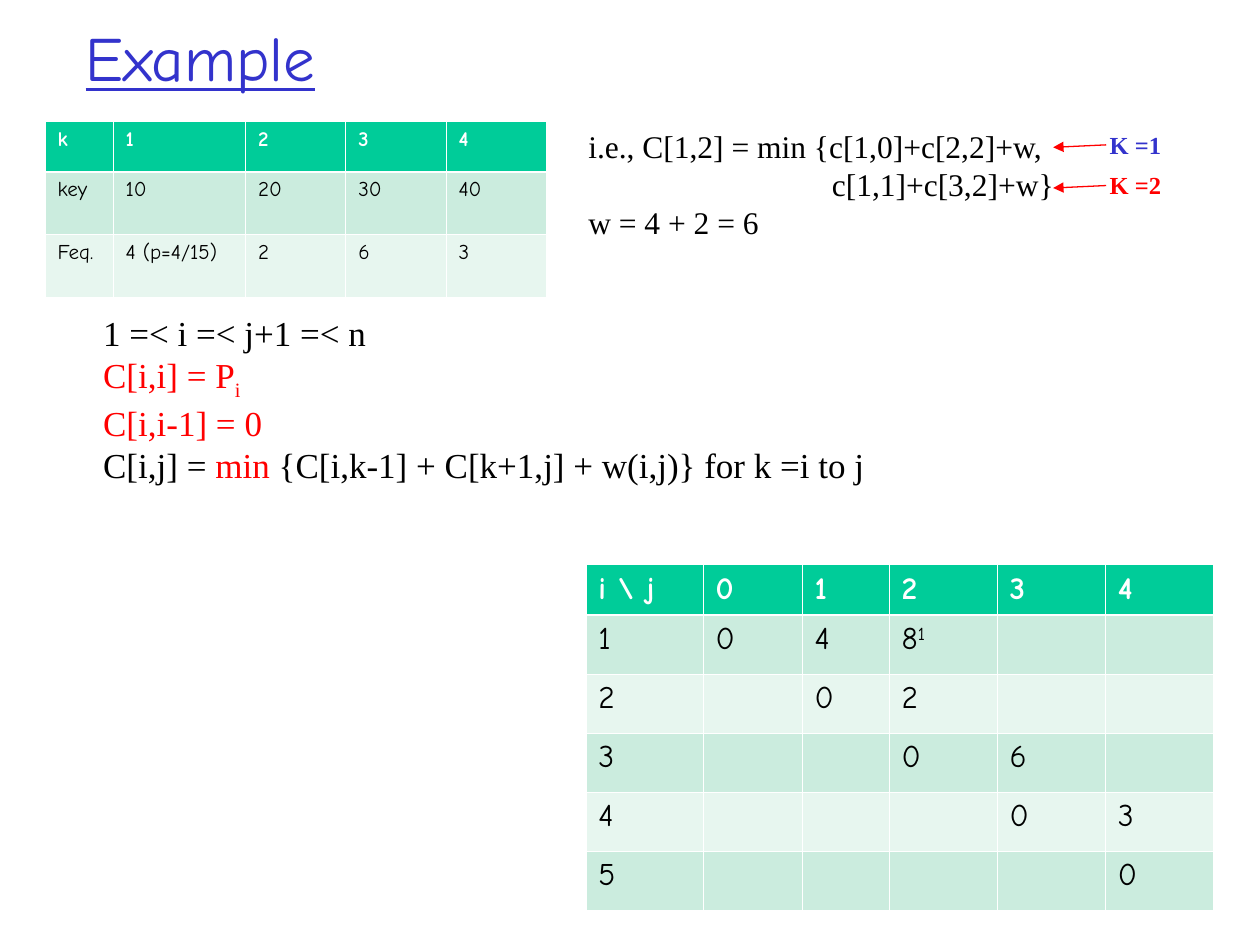
from lxml import etree
from pptx import Presentation
from pptx import util as u
from pptx.dml.color import RGBColor
from pptx.enum import shapes, text
from pptx.oxml.ns import qn

COLORS = {
    "blue": "3333CC", "red": "FF0000", "black": "000000", "white": "FFFFFF",
    "header": "00CC99", "band_dark": "CBECDE", "band_light": "E7F6EF",
}
SUPERSCRIPT, SUBSCRIPT = 30000, -25000


def rgb(name):
    return RGBColor.from_string(COLORS[name])


def add_border(cell, side, points):
    line = etree.SubElement(cell._tc.get_or_add_tcPr(), qn(f"a:ln{side}"),
                            w=str(u.Pt(points)))
    fill = etree.SubElement(line, qn("a:solidFill"))
    etree.SubElement(fill, qn("a:srgbClr"), val=COLORS["white"])


class SlideWriter:
    heading_font = "Comic Neue"
    body_font = "Times New Roman"
    thin, thick = 0.45, 1.47

    def __init__(self, slide):
        self.slide = slide

    def run(self, paragraph, content, font, size, color="black", bold=False, baseline=0):
        run = paragraph.add_run()
        run.text = content
        run.font.name, run.font.size, run.font.bold = font, u.Pt(size), bold
        run.font.color.rgb = rgb(color)
        if baseline:
            run._r.get_or_add_rPr().set("baseline", str(baseline))
        return run

    def title(self, content, left, top, width, height):
        heading = self.slide.shapes.title
        heading.left, heading.top = u.Cm(left), u.Cm(top)
        heading.width, heading.height = u.Cm(width), u.Cm(height)
        heading.text_frame.vertical_anchor = text.MSO_ANCHOR.MIDDLE
        paragraph = heading.text_frame.paragraphs[0]
        paragraph.alignment = text.PP_ALIGN.LEFT
        self.run(paragraph, content, self.heading_font, 36, "blue").font.underline = True

    def text(self, lines, left, top, width, height, size, bold=False, wrap=True, indents=()):
        """Each line is a list of (content, color[, baseline]); indents maps line to cm."""
        frame = self.slide.shapes.add_textbox(
            u.Cm(left), u.Cm(top), u.Cm(width), u.Cm(height)).text_frame
        frame.word_wrap = wrap
        for number, parts in enumerate(lines):
            paragraph = frame.add_paragraph() if number else frame.paragraphs[0]
            if number in indents:
                paragraph._p.get_or_add_pPr().set("marL", str(u.Cm(indents[number])))
            for content, color, *baseline in parts:
                self.run(paragraph, content, self.body_font, size, color, bold, *baseline)

    def table(self, rows, left, top, widths, header_height, row_height, size):
        """A cell "8^1" shows the part after the caret as a superscript."""
        heights = [header_height] + [row_height] * (len(rows) - 1)
        grid = self.slide.shapes.add_table(
            len(rows), len(widths), u.Cm(left), u.Cm(top),
            u.Cm(sum(widths)), u.Cm(sum(heights))).table
        for column, width in zip(grid.columns, widths):
            column.width = u.Cm(width)
        for r, values in enumerate(rows):
            grid.rows[r].height = u.Cm(heights[r])
            is_header = r == 0
            band = "header" if is_header else "band_dark" if r % 2 else "band_light"
            for c, value in enumerate(values):
                cell = grid.cell(r, c)
                for side in "LRTB":
                    under_header = (r, side) in ((0, "B"), (1, "T"))
                    add_border(cell, side, self.thick if under_header else self.thin)
                cell.fill.solid()
                cell.fill.fore_color.rgb = rgb(band)
                main, _, power = value.partition("^")
                for content, baseline in ((main, 0), (power, SUPERSCRIPT)):
                    if content:
                        self.run(cell.text_frame.paragraphs[0], content, self.heading_font,
                                 size, "white" if is_header else "black", is_header, baseline)

    def arrow(self, x1, y1, x2, y2, color):
        arrow = self.slide.shapes.add_connector(
            shapes.MSO_CONNECTOR.STRAIGHT, u.Cm(x1), u.Cm(y1), u.Cm(x2), u.Cm(y2))
        arrow.line.color.rgb = rgb(color)
        arrow.line.width = u.Pt(0.75)
        etree.SubElement(arrow.line._get_or_add_ln(), qn("a:tailEnd"), type="triangle")
        etree.SubElement(arrow._element.spPr, qn("a:effectLst"))


def main():
    deck = Presentation()
    deck.slide_width, deck.slide_height = u.Cm(25.4), u.Cm(19.05)
    writer = SlideWriter(deck.slides.add_slide(deck.slide_layouts[5]))

    writer.title("Example", 1.47, 0.61, 23.29, 1.04)

    frequencies = [
        ["k", "1", "2", "3", "4"],
        ["key", "10", "20", "30", "40"],
        ["Feq.", "4 (p=4/15)", "2", "6", "3"],
    ]
    writer.table(frequencies, 0.91, 2.44, [1.37, 2.67] + [2.02] * 3, 1.02, 1.27, 12)

    costs = [
        ["i \\ j", "0", "1", "2", "3", "4"],
        ["1", "0", "4", "8^1", "", ""],
        ["2", "", "0", "2", "", ""],
        ["3", "", "", "0", "6", ""],
        ["4", "", "", "", "0", "3"],
        ["5", "", "", "", "", "0"],
    ]
    writer.table(costs, 11.81, 11.38, [2.36, 2, 1.75] + [2.18] * 3, 1.02, 1.19, 18)

    recurrence = [
        [("1 =< i =< j+1 =< n", "black")],
        [("C[i,i] = P", "red"), ("i", "red", SUBSCRIPT)],
        [("C[i,i-1] = 0", "red")],
        [("C[i,j] = ", "black"), ("min", "red"),
         (" {C[i,k-1] + C[k+1,j] + w(i,j)} for k =i to j", "black")],
    ]
    writer.text(recurrence, 1.83, 6.15, 22.61, 3.76, 20)

    worked_step = [
        [("i.e., C[1,2] = min {c[1,0]+c[2,2]+w,", "black")],
        [("c[1,1]+c[3,2]+w}", "black")],
        [("w = 4 + 2 = 6", "black")],
    ]
    writer.text(worked_step, 11.61, 2.44, 10.01, 2.54, 18, indents={1: 4.91})

    for number, (choice, color) in enumerate((("K =1", "blue"), ("K =2", "red"))):
        drop = 0.82 * number
        writer.arrow(22.3, 2.92 + drop, 21.23, 2.97 + drop, "red")
        writer.text([[(choice, color)]], 22.12, 2.49 + drop, 1.55, 0.86, 14,
                    bold=True, wrap=False)

    deck.save("out.pptx")


if __name__ == "__main__":
    main()
